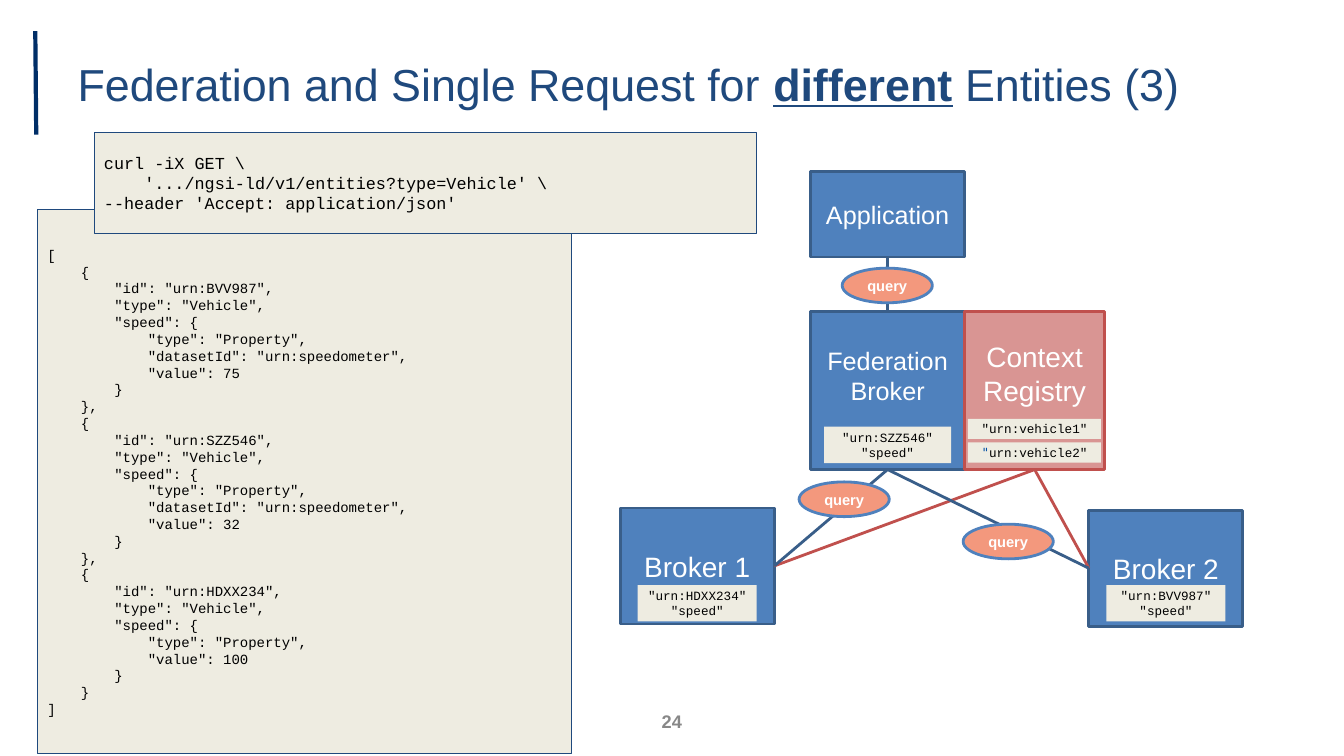
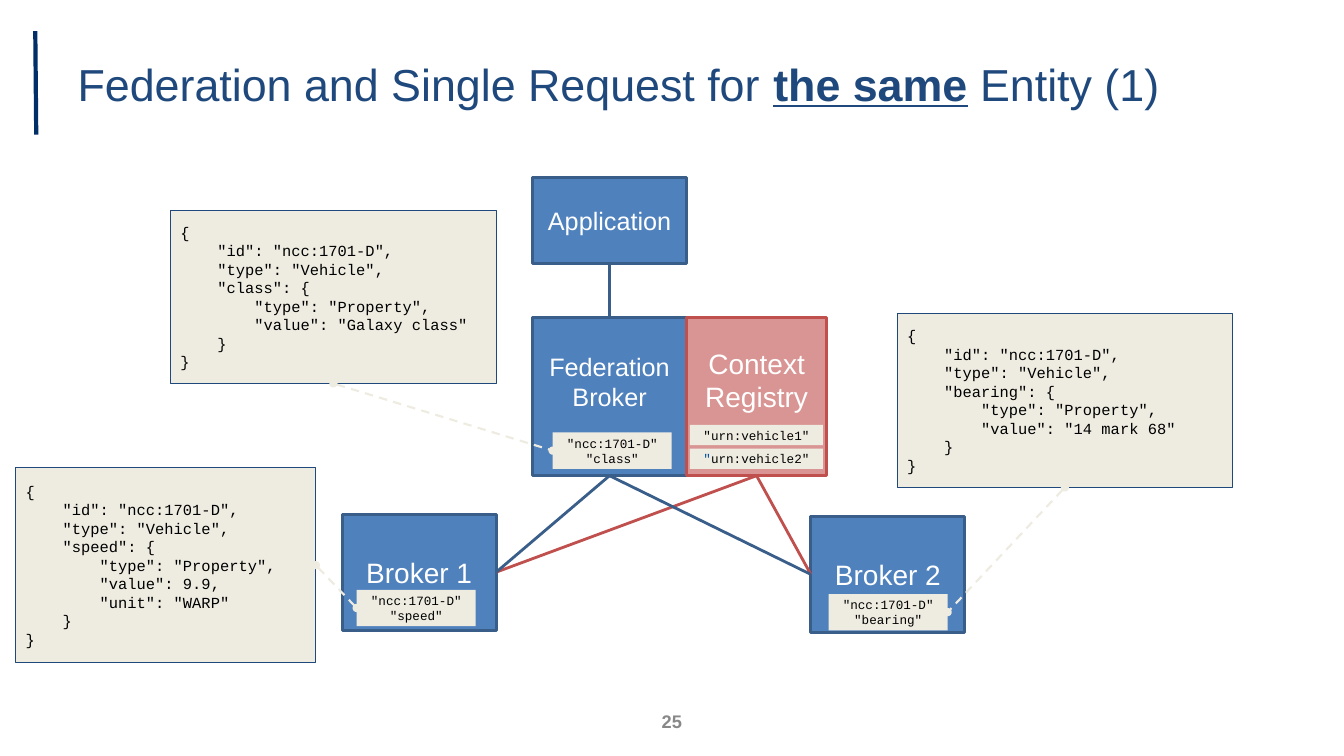
from lxml import etree
from pptx import Presentation
from pptx import util as u
from pptx.dml.color import RGBColor
from pptx.enum import dml, shapes, text
from pptx.oxml.ns import qn


class Theme:
    # colours
    navy, title, grey = "002E67", "1F497D", "888888"
    blue, edge = "4F81BD", "395E89"
    pink, red = "D99593", "C0504D"
    coral, sand = "F3987D", "EEECE1"
    white, black, quote = "FFFFFF", "000000", "0451A5"
    # fonts and type sizes
    sans, mono, alt = "Arial", "Courier New", "DejaVu Sans Mono"
    head, big, mid, page, pill, tag = 32, 20, 18, 13, 10.5, 9


T = Theme
TOP, LEFT, BOTTOM, RIGHT = range(4)
RECT = shapes.MSO_SHAPE.RECTANGLE
OVAL = shapes.MSO_SHAPE.OVAL


def rgb(code):
    return RGBColor.from_string(code)


def pts(*vals):
    return [u.Pt(v) for v in vals]


# ---- basic parts ----
def write(shape, paras, size, color=T.black, font=T.sans, bold=False,
          align="CENTER", inset=(7.2, 3.6, 7.2, 3.6), space=None):
    """Fill a shape; a paragraph is a string or a list of (string, format)."""
    frame = shape.text_frame
    frame.word_wrap = True
    frame.vertical_anchor = text.MSO_ANCHOR.MIDDLE
    (frame.margin_left, frame.margin_top,
     frame.margin_right, frame.margin_bottom) = pts(*inset)
    for i, para in enumerate(paras):
        p = frame.paragraphs[0] if i == 0 else frame.add_paragraph()
        p.alignment = getattr(text.PP_ALIGN, align)
        if space:
            p.line_spacing = space
        for words, fmt in [(para, {})] if isinstance(para, str) else para:
            run = p.add_run()
            run.text = words
            f = run.font
            f.size = u.Pt(size)
            f.name = fmt.get("font", font)
            f.bold = fmt.get("bold", bold)
            f.underline = fmt.get("line", False)
            f.color.rgb = rgb(fmt.get("color", color))


def block(slide, box, fill, edge=None, width=2, kind=RECT):
    shape = slide.shapes.add_shape(kind, *pts(*box))
    shape.shadow.inherit = False
    shape.fill.solid()
    shape.fill.fore_color.rgb = rgb(fill)
    if edge:
        shape.line.color.rgb = rgb(edge)
        shape.line.width = u.Pt(width)
    else:
        shape.line.fill.background()
    return shape


def rule(slide, ends, color, width):
    line = slide.shapes.add_connector(
        shapes.MSO_CONNECTOR.STRAIGHT, *pts(*ends))
    line.line.color.rgb = rgb(color)
    line.line.width = u.Pt(width)
    etree.SubElement(line._element.spPr, qn("a:effectLst"))
    return line


def join(slide, start, side, end, goal, color=T.edge, width=2):
    line = rule(slide, (0, 0, 0, 0), color, width)
    line.begin_connect(start, side)
    line.end_connect(end, goal)
    return line


def link(slide, start, side, end, goal):
    """Dashed line with round ends from a listing to its label."""
    line = join(slide, start, side, end, goal, T.sand, 1.5)
    line.line.dash_style = dml.MSO_LINE.DASH
    for tip in ("a:headEnd", "a:tailEnd"):
        etree.SubElement(line.line._get_or_add_ln(), qn(tip), type="oval")


# ---- regions ----
def frame(deck, lead, stress, rest, page):
    slide = deck.slides.add_slide(deck.slide_layouts[6])
    rule(slide, (25.9, 96.2, 25.2, 22.3), T.navy, 3)
    head = slide.shapes.add_textbox(*pts(44.6, 22.3, 826.6, 79.2))
    write(head, [[(lead, {}), (stress, {"bold": True, "line": True}),
                  (rest, {})]],
          T.head, T.title, align="LEFT", inset=(10.8, 5, 10.8, 5), space=0.9)
    foot = slide.shapes.add_textbox(*pts(425.5, 500.8, 108.7, 28.8))
    write(foot, [str(page)], T.page, T.grey, bold=True)
    return slide


def code(slide, box, lines, size):
    shape = block(slide, box, T.sand, T.title, 0.75)
    write(shape, lines, size, font=T.mono, align="LEFT", inset=(7.2,) * 4)
    return shape


def label(slide, box, paras):
    shape = block(slide, box, T.sand)
    write(shape, paras, T.tag, font=T.mono, inset=(3.6, 0, 3.6, 0))
    return shape


def tree(slide, x, y, tags, font, pills=()):
    """Draw the broker tree; tags are (name, key, width, shift, drop)."""
    wide = 110
    mid, low = x + 136, y + 240.5

    def node(box, name, size, fill=T.blue, edge=T.edge, foot=3.6):
        shape = block(slide, box, fill, edge)
        write(shape, name, size, T.white, inset=(7.2, 3.6, 7.2, foot))
        return shape

    # nodes
    app = node((mid, y, wide, 61.2), ["Application"], T.mid)
    fed = node((mid, y + 100, wide, 113), ["Federation Broker"], T.mid,
               foot=25.2)
    one = node((x, low, wide, 82.8), ["Broker 1"], T.big)
    two = node((x + 334.8, low + 1.6, wide, 82.8), ["Broker 2"], T.big)
    reg = node((mid + wide, y + 100, 100.1, 113), ["Context", "Registry"],
               T.big, T.pink, T.red, 27.6)

    # lines
    join(slide, app, BOTTOM, fed, TOP)
    for hub, color in ((reg, T.red), (fed, T.edge)):
        join(slide, hub, BOTTOM, one, RIGHT, color)
        join(slide, hub, BOTTOM, two, LEFT, color)

    # query pills
    for dx, dy in pills:
        pill = block(slide, (x + dx, y + dy, 64.4, 24.8), T.coral, T.blue,
                     kind=OVAL)
        write(pill, ["query"], T.pill, T.white, bold=True,
              inset=(0, 3.6, 0, 3.6))

    # labels in the nodes
    made = []
    for host, (name, key, w, shift, drop) in zip((fed, one, two), tags):
        left = host.left.pt + (wide - w) / 2 + shift
        made.append(label(slide, (left, host.top.pt + drop, w, 26),
                          [f'"{name}"', f'"{key}"']))
    cars = ['"urn:vehicle1"',
            [('"', {"color": T.quote, "font": font}), ('urn:vehicle2"', {})]]
    for i, car in enumerate(cars):
        label(slide, (reg.left.pt + 2.4, reg.top.pt + 76.8 + 16.9 * i,
                      95, 14.4), [car])
    return made


# ---- listings ----
def pad(lines):
    return ["    " + line for line in lines]


def commas(lines):
    return [line + "," for line in lines[:-1]] + lines[-1:]


def entity(name, key, *props):
    parts = commas(['"type": "Property"', *props])
    return ["{", *pad([f'"id": "{name}",', '"type": "Vehicle",',
                       f'"{key}": {{', *pad(parts), "}"]), "}"]


# ---- slides ----
def different(deck):
    slide = frame(deck, "Federation and Single Request for ", "different",
                  " Entities (3)", 24)
    tree(slide, 443, 122.4,
         [("urn:SZZ546", "speed", 90.7, 0, 82.4),
          ("urn:HDXX234", "speed", 85, 0, 55),
          ("urn:BVV987", "speed", 85, 0, 53.4)],
         T.alt, [(158.6, 69.1), (127.8, 221.8), (245, 252)])
    meter = '"datasetId": "urn:speedometer"'
    cars = [("urn:BVV987", meter, '"value": 75'),
            ("urn:SZZ546", meter, '"value": 32'),
            ("urn:HDXX234", '"value": 100')]
    lines = []
    for i, (name, *props) in enumerate(cars):
        lines += entity(name, "speed", *props)
        if i < len(cars) - 1:
            lines[-1] += ","
    code(slide, (26.8, 149.8, 381.4, 388.8), ["[", *pad(lines), "]"], 10)
    code(slide, (67.2, 94.5, 473, 72.5),
         ["curl -iX GET \\",
          "    '.../ngsi-ld/v1/entities?type=Vehicle' \\",
          "--header 'Accept: application/json'"], 12)


def same(deck):
    slide = frame(deck, "Federation and Single Request for ", "the same",
                  " Entity (1)", 25)
    ship = "ncc:1701-D"
    tags = tree(slide, 244.4, 126.8,
                [(ship, key, 85, shift, drop)
                 for key, shift, drop in (("class", 1.9, 82.1),
                                          ("speed", -2.1, 54),
                                          ("bearing", 0.2, 55.4))],
                T.mono)
    notes = [((121.7, 150.3, 232.8, 123.6), "class",
              ['"value": "Galaxy class"'], BOTTOM, LEFT),
             ((11.2, 334, 214.4, 139.4), "speed",
              ['"value": 9.9', '"unit": "WARP"'], RIGHT, LEFT),
             ((640.8, 223.8, 239.6, 124.4), "bearing",
              ['"value": "14 mark 68"'], BOTTOM, RIGHT)]
    for tag, (box, key, props, side, goal) in zip(tags, notes):
        note = code(slide, box, entity(ship, key, *props), 11)
        link(slide, note, side, tag, goal)


def main():
    deck = Presentation()
    deck.slide_width, deck.slide_height = pts(960, 540)
    different(deck)
    same(deck)
    deck.save("out.pptx")


if __name__ == "__main__":
    main()
